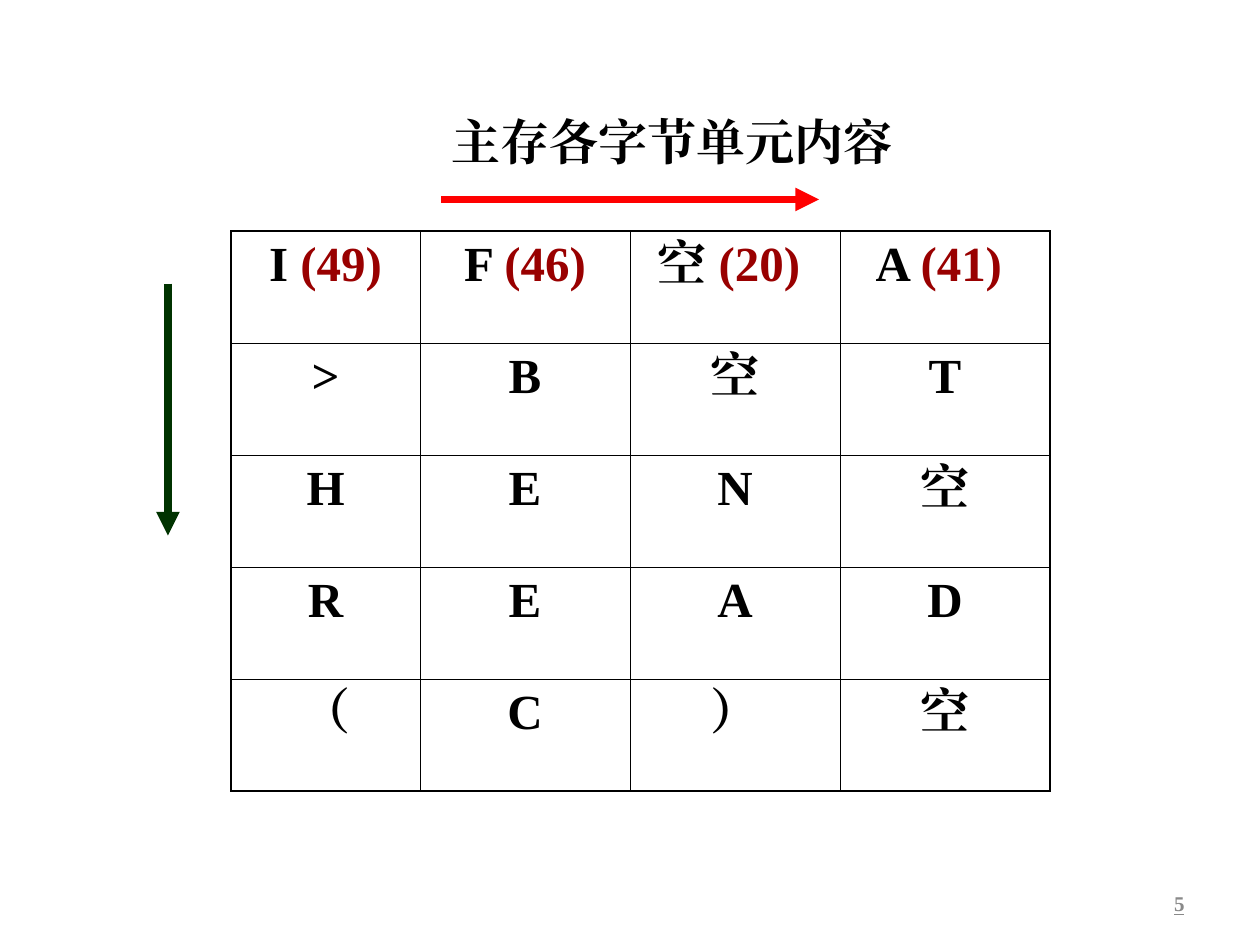
import pptx
import pptx.util
import pptx.dml.color
import pptx.enum.shapes
import pptx.enum.text
import pptx.oxml.ns
import lxml.etree

UNIT = pptx.util.Inches(10) / 60  # the slide is a grid of 60 columns by 45 rows
FONT = "Times New Roman"
BLACK, CODE = "000000", "990000"
ALIGN = pptx.enum.text.PP_ALIGN

CELLS = [
    [("I ", "(49)"), ("F ", "(46)"), ("空 ", "(20) "), ("A ", "(41) ")],
    [(">",), ("B",), ("空",), ("T",)],
    [("H",), ("E",), ("N",), ("空",)],
    [("R",), ("E",), ("A",), ("D",)],
    [("（",), ("C",), ("）",), ("空",)],
]


def grid(*nums):
    return [round(num * UNIT) for num in nums]


def color(code):
    return pptx.dml.color.RGBColor.from_string(code)


def child(parent, tag, **attrs):
    node = lxml.etree.SubElement(parent, pptx.oxml.ns.qn(tag))
    for key, value in attrs.items():
        node.set(key, str(value))
    return node


def add_run(para, text, size=28, code=BLACK):
    run = para.add_run()
    run.text = text
    font = run.font
    font.size = pptx.util.Pt(size)
    font.bold = True
    font.name = FONT
    font.color.rgb = color(code)
    child(run._r.get_or_add_rPr(), "a:ea", typeface=FONT)
    return run


def add_box(slide, box, align):
    """Add an empty text box and return its frame and first paragraph."""
    frame = slide.shapes.add_textbox(*grid(*box)).text_frame
    frame.word_wrap = True
    para = frame.paragraphs[0]
    para.alignment = align
    return frame, para


def title(slide, box):
    para = add_box(slide, box, ALIGN.CENTER)[1]
    add_run(para, "主存各字节单元内容")


def number(slide, box):
    frame, para = add_box(slide, box, ALIGN.RIGHT)
    frame.vertical_anchor = pptx.enum.text.MSO_ANCHOR.MIDDLE
    para.line_spacing = 1.2
    add_run(para, "5", 12, "898989").font.underline = True


def arrow(slide, start, end, code):
    kind = pptx.enum.shapes.MSO_CONNECTOR.STRAIGHT
    line = slide.shapes.add_connector(kind, *grid(*start, *end))
    line.line.color.rgb = color(code)
    line.line.width = pptx.util.Pt(4.5)
    child(line.line._get_or_add_ln(), "a:tailEnd", type="triangle")
    child(line._element.spPr, "a:effectLst")


def borders(cell, outer):
    """Draw the four sides of a cell, thicker where the side is an outer one."""
    props = cell._tc.get_or_add_tcPr()
    for spot, (side, thick) in enumerate(outer.items()):
        width = pptx.util.Pt(1.08 if thick else 0.45)
        edge = lxml.etree.Element(pptx.oxml.ns.qn("a:ln" + side), w=str(width))
        child(child(edge, "a:solidFill"), "a:srgbClr", val=BLACK)
        props.insert(spot, edge)


def memory(slide, box, widths):
    rows, cols = len(CELLS), len(widths)
    frame = slide.shapes.add_table(rows, cols, *grid(*box))
    table = frame.table
    table.first_row = table.horz_banding = False
    for col, width in zip(table.columns, grid(*widths)):
        col.width = width
    for row in table.rows:
        row.height = grid(box[3] / rows)[0]
    for r, line in enumerate(CELLS):
        for c, parts in enumerate(line):
            cell = table.cell(r, c)
            cell.fill.background()
            para = cell.text_frame.paragraphs[0]
            para.alignment = ALIGN.CENTER
            for text, code in zip(parts, (BLACK, CODE)):
                add_run(para, text, code=code)
            borders(cell, {"L": c == 0, "R": c == cols - 1,
                           "T": r == 0, "B": r == rows - 1})


def main():
    deck = pptx.Presentation()
    deck.slide_width, deck.slide_height = grid(60, 45)
    slide = deck.slides.add_slide(deck.slide_layouts[6])
    memory(slide, (11, 11, 39, 26.67), (9, 10, 10, 10))
    title(slide, (20, 5, 24, 3.4))
    arrow(slide, (21, 9.5), (39, 9.5), "FF0000")
    arrow(slide, (8, 13.5), (8, 25.5), "003300")
    number(slide, (43, 41.7, 14, 2.4))
    deck.save("out.pptx")


if __name__ == "__main__":
    main()
